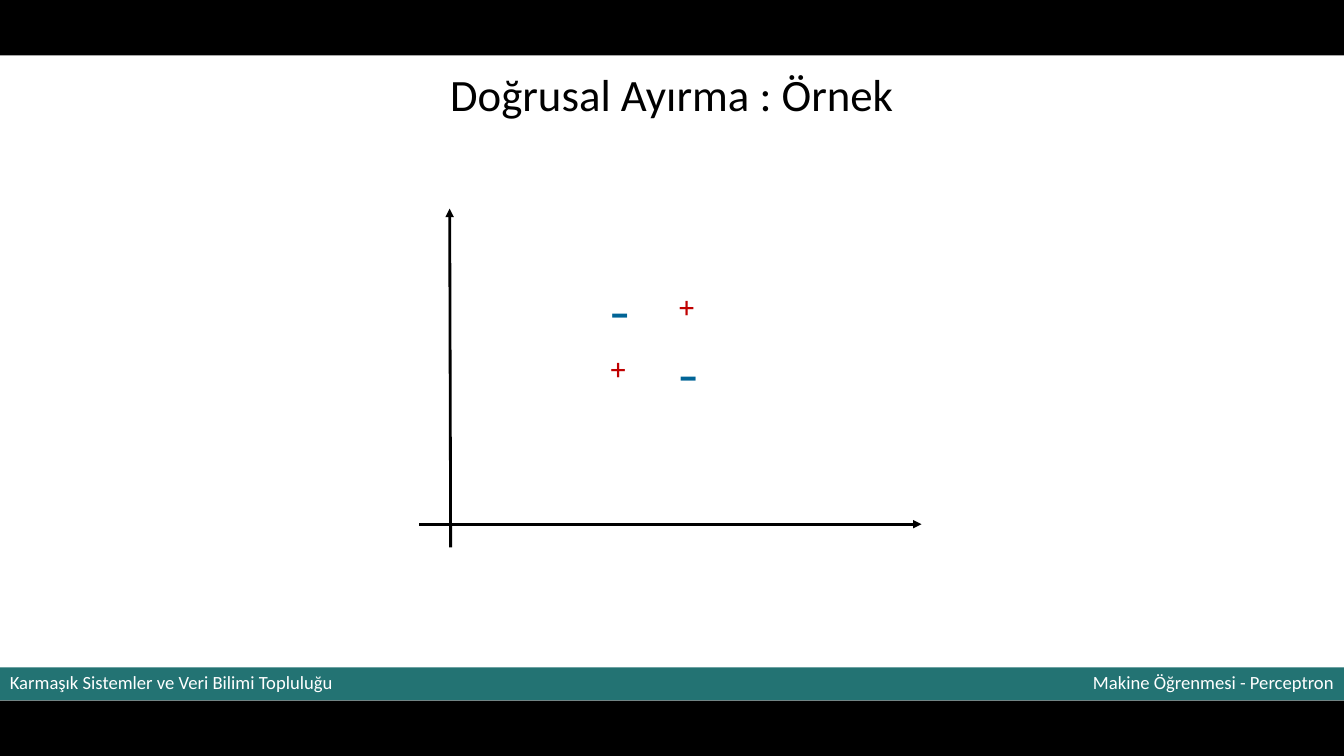
from dataclasses import dataclass
from itertools import product

from lxml import etree
from pptx import Presentation
from pptx import util as u
from pptx.dml.color import RGBColor
from pptx.enum import shapes, text
from pptx.oxml import ns, parse_xml

DRAWING_NS = ns.nsdecls("a")


@dataclass(frozen=True)
class Theme:
    ink: str = "000000"
    band: str = "237373"
    light: str = "FFFFFF"
    minus: str = "006496"
    plus: str = "C00000"
    body_font: str = "Calibri"
    mark_font: str = "Noto Sans Mono"
    title_size: float = 32
    footer_size: float = 13.3
    minus_size: float = 35.4
    plus_size: float = 22.1
    axis_width: float = 2


THEME = Theme()
SLIDE_W, SLIDE_H = 13.33, 7.5
BAR_H = 0.55
FOOTER_H = 0.33


def write(box, words, size, color, font=THEME.body_font,
          align=text.PP_ALIGN.LEFT, wrap=False):
    """Put one formatted run into a box and return the run."""
    frame = box.text_frame
    frame.word_wrap = wrap
    frame.auto_size = text.MSO_AUTO_SIZE.NONE
    frame.vertical_anchor = text.MSO_ANCHOR.TOP
    frame.margin_left = frame.margin_right = u.Inches(0.1)
    frame.margin_top = frame.margin_bottom = u.Inches(0.05)
    line = frame.paragraphs[0]
    line.alignment = align
    line.line_spacing = 1.0
    line.space_before = u.Pt(0)
    run = line.add_run()
    run.text = words
    run.font.size = u.Pt(size)
    run.font.name = font
    run.font.color.rgb = RGBColor.from_string(color)
    return run


def add_title(slide, words):
    title = slide.shapes.title
    title.left, title.top = u.Inches(0), u.Inches(0.61)
    title.width, title.height = u.Inches(SLIDE_W), u.Inches(0.64)
    run = write(title, words, THEME.title_size, THEME.ink,
                align=text.PP_ALIGN.CENTER, wrap=True)
    # Soft shadow behind the letters, placed right after the text fill
    shadow = parse_xml(
        f'<a:effectLst {DRAWING_NS}><a:outerShdw blurRad="38100" dist="38100" '
        'dir="2700000" algn="tl"><a:srgbClr val="000000"><a:alpha val="43000"/>'
        '</a:srgbClr></a:outerShdw></a:effectLst>')
    run.font._element.find(ns.qn("a:solidFill")).addnext(shadow)


def add_label(slide, words, left, top, width, height, size, color, **style):
    box = slide.shapes.add_textbox(*map(u.Inches, (left, top, width, height)))
    write(box, words, size, color, **style)


def add_bar(slide, top, height, color):
    bar = slide.shapes.add_shape(
        shapes.MSO_SHAPE.RECTANGLE,
        *map(u.Inches, (0, top, SLIDE_W, height)))
    bar.shadow.inherit = False
    bar.fill.solid()
    bar.fill.fore_color.rgb = RGBColor.from_string(color)
    bar.line.fill.background()


def add_axis(slide, start, end):
    axis = slide.shapes.add_connector(
        shapes.MSO_CONNECTOR.STRAIGHT, *map(u.Inches, (*start, *end)))
    axis.line.color.rgb = RGBColor.from_string(THEME.ink)
    axis.line.width = u.Pt(THEME.axis_width)
    etree.SubElement(axis.line._get_or_add_ln(), ns.qn("a:tailEnd"),
                     type="triangle")
    etree.SubElement(axis._element.spPr, ns.qn("a:effectLst"))


def add_xor_marks(slide):
    """Opposite classes sit on the diagonals of a two by two grid."""
    for row, col in product(range(2), repeat=2):
        dx, dy = 0.68 * col, 0.62 * row
        if row == col:
            add_label(slide, "-", 5.9 + dx, 2.73 + dy, 0.48, 0.7,
                      THEME.minus_size, THEME.minus, font=THEME.mark_font)
        else:
            add_label(slide, "+", 5.94 + dx, 2.81 + dy, 0.37, 0.47,
                      THEME.plus_size, THEME.plus, font=THEME.mark_font)


def main():
    deck = Presentation()
    deck.slide_width, deck.slide_height = u.Inches(SLIDE_W), u.Inches(SLIDE_H)
    slide = deck.slides.add_slide(deck.slide_layouts.get_by_name("Title Only"))

    add_title(slide, "Doğrusal Ayırma : Örnek")

    # Axes and the four samples
    add_axis(slide, (4.47, 5.43), (4.46, 2.07))
    add_axis(slide, (4.16, 5.2), (9.14, 5.2))
    add_xor_marks(slide)

    # Top bar, footer band and bottom bar
    footer_top = SLIDE_H - BAR_H - FOOTER_H
    add_bar(slide, 0, BAR_H, THEME.ink)
    add_bar(slide, footer_top, FOOTER_H, THEME.band)
    add_bar(slide, SLIDE_H - BAR_H, BAR_H, THEME.ink)

    # Footer wording
    for words, left, width, align in (
            ("Karmaşık Sistemler ve Veri Bilimi Topluluğu", 0, 3.6,
             text.PP_ALIGN.LEFT),
            ("Makine Öğrenmesi - Perceptron", 10.7, 2.63,
             text.PP_ALIGN.RIGHT)):
        add_label(slide, words, left, 6.61, width, 0.32,
                  THEME.footer_size, THEME.light, align=align)

    deck.save("out.pptx")


if __name__ == "__main__":
    main()
